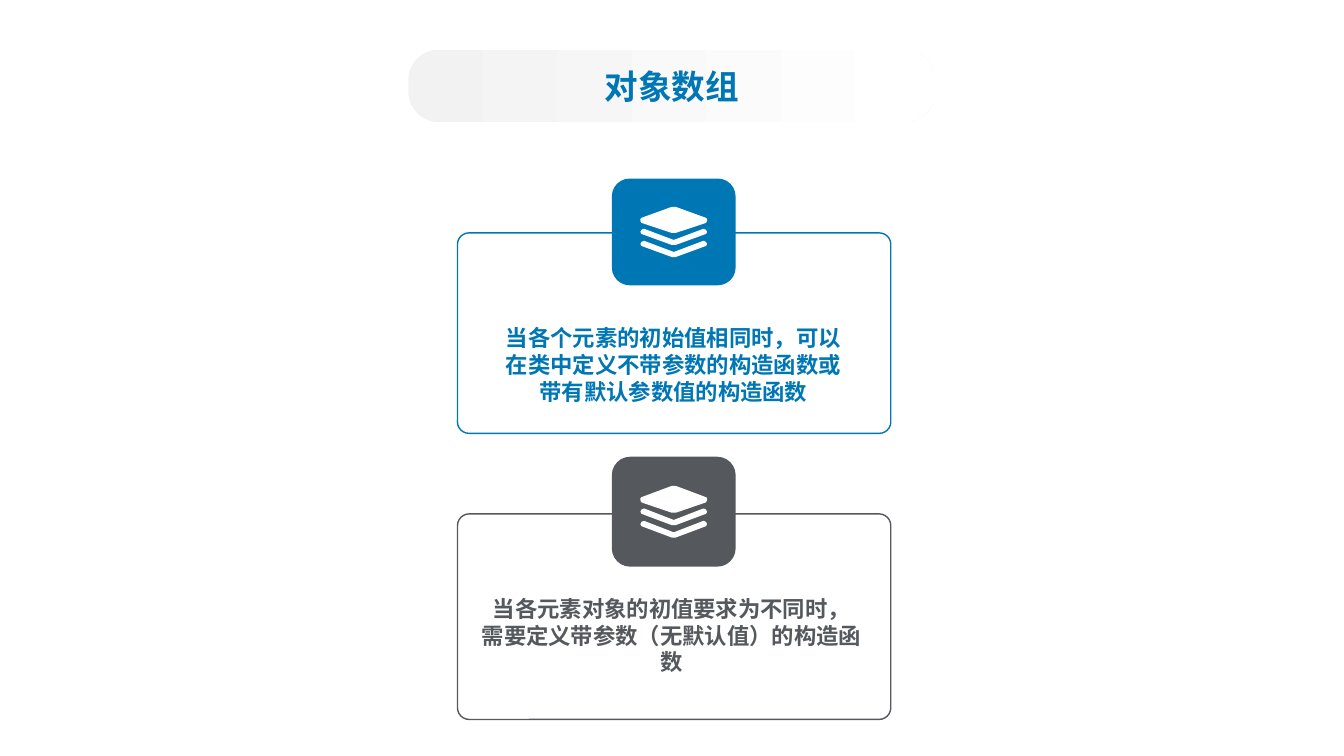
"""Build the slide on arrays of objects: a title pill and two icon cards."""
from dataclasses import dataclass
from typing import Any

import lxml.etree
import pptx
import pptx.dml.color
import pptx.enum.shapes
import pptx.enum.text
import pptx.oxml.ns
import pptx.shapes.autoshape
import pptx.util

Cm = pptx.util.Cm
BLUE, GREY, WHITE = "0077B5", "55595D", "FFFFFF"
HAN = "Noto Sans CJK SC"
BOX_X, BOX_W = 11.53, 10.92
BADGE_X, BADGE_W = 15.42, 3.12
TEXT_W = 9.93
ICON_W, ICON_H = 66, 50
ICON_SHARE = 0.47
BAND_GAP = 12
SHEET = [(33, 0), (31, 0), (1, 11), (0, 12), (0, 14), (1, 16), (31, 26), (33, 26)]
BAND = [(33, 33), (4, 22), (3, 22), (1, 23), (0, 25), (1, 27), (31, 38), (33, 38)]


@dataclass
class Card:
    """One outlined box with a badge and a text, lengths in cm."""
    color: str
    box_y: float
    box_h: float
    badge_y: float
    badge_h: float
    text_x: float
    text_y: float
    text_h: float
    lines: tuple[str, ...]


CARDS = [
    Card(BLUE, 5.87, 5.05, 4.5, 2.69, 12.01, 8.18, 2.29,
         ("当各个元素的初始值相同时，可以",
          "在类中定义不带参数的构造函数或",
          "带有默认参数值的构造函数")),
    Card(GREY, 12.95, 5.18, 11.51, 2.77, 11.96, 14.99, 2.18,
         ("当各元素对象的初值要求为不同时，",
          "需要定义带参数（无默认值）的构造函数")),
]


def tint(code: str) -> pptx.dml.color.RGBColor:
    """Turn a hex string into a colour."""
    return pptx.dml.color.RGBColor.from_string(code)


def style(item: Any, form: dict[str, Any]) -> None:
    """Set each named attribute."""
    for name, value in form.items():
        setattr(item, name, value)


def paint(shape: Any, code: str) -> None:
    """Give a shape a plain fill without line or shadow."""
    shape.shadow.inherit = False
    shape.fill.solid()
    shape.fill.fore_color.rgb = tint(code)
    shape.line.fill.background()


def write(frame: Any, lines: tuple[str, ...], face: str, size: int, code: str) -> None:
    """Write centred bold lines, one paragraph each."""
    for i, line in enumerate(lines):
        para = frame.add_paragraph() if i else frame.paragraphs[0]
        para.alignment = pptx.enum.text.PP_ALIGN.CENTER
        run = para.add_run()
        run.text = line
        style(run.font, {"name": face, "size": pptx.util.Pt(size), "bold": True})
        run.font.color.rgb = tint(code)
        east = lxml.etree.SubElement(run._r.get_or_add_rPr(), pptx.oxml.ns.qn("a:ea"))
        east.set("typeface", HAN)


def pill(shapes: Any, x: float, y: float, w: float, h: float,
         bend: float) -> pptx.shapes.autoshape.Shape:
    """Add a rounded box."""
    kind = pptx.enum.shapes.MSO_SHAPE.ROUNDED_RECTANGLE
    shape = shapes.add_shape(kind, Cm(x), Cm(y), Cm(w), Cm(h))
    shape.adjustments[0] = bend
    shape.shadow.inherit = False
    return shape


def draw_icon(shapes: Any, card: Card) -> None:
    """Draw a stack of three sheets in the middle of the badge."""
    high = ICON_SHARE * card.badge_h
    wide = 1.68
    left = BADGE_X + (BADGE_W - wide) / 2
    top = card.badge_y + (card.badge_h - high) / 2
    lower = [(x, y + BAND_GAP) for x, y in BAND]
    pen = None
    for half in (SHEET, BAND, lower):
        points = half + [(ICON_W - x, y) for x, y in reversed(half)]
        if pen is None:
            scale = (Cm(wide) / ICON_W, Cm(high) / ICON_H)
            pen = shapes.build_freeform(*points[0], scale=scale)
        else:
            pen.move_to(*points[0])
        pen.add_line_segments(points[1:], close=True)
    paint(pen.convert_to_shape(Cm(left), Cm(top)), WHITE)


def draw_card(slide: Any, card: Card) -> None:
    """Draw one card as a group."""
    shapes = slide.shapes.add_group_shape().shapes
    box = pill(shapes, BOX_X, card.box_y, BOX_W, card.box_h, 0.057)
    box.fill.background()
    box.line.color.rgb = tint(card.color)
    box.line.width = pptx.util.Pt(1)
    badge = pill(shapes, BADGE_X, card.badge_y, BADGE_W, card.badge_h, 0.167)
    paint(badge, card.color)
    draw_icon(shapes, card)
    note = shapes.add_textbox(Cm(card.text_x), Cm(card.text_y), Cm(TEXT_W), Cm(card.text_h))
    style(note.text_frame, {"margin_left": 0, "margin_top": 0, "margin_right": 0,
                            "margin_bottom": 0, "word_wrap": False})
    write(note.text_frame, card.lines, "Arial", 16, card.color)


def draw_title(slide: Any) -> None:
    """Draw the title on a fading pill."""
    title = pill(slide.shapes, 10.29, 1.25, 13.28, 1.83, 0.423)
    title.line.fill.background()
    title.fill.gradient()
    title.fill.gradient_angle = 0
    fade = ((0, "F2F2F2"), (0.99, WHITE))
    for stop, (place, code) in zip(title.fill.gradient_stops, fade):
        stop.position = place
        stop.color.rgb = tint(code)
    title.text_frame.vertical_anchor = pptx.enum.text.MSO_ANCHOR.MIDDLE
    write(title.text_frame, ("对象数组",), HAN, 24, BLUE)


def main() -> None:
    """Build and save the deck."""
    deck = pptx.Presentation()
    style(deck, {"slide_width": Cm(33.87), "slide_height": Cm(19.05)})
    slide = deck.slides.add_slide(deck.slide_layouts[6])
    for card in CARDS:
        draw_card(slide, card)
    draw_title(slide)
    deck.save("out.pptx")


if __name__ == "__main__":
    main()
